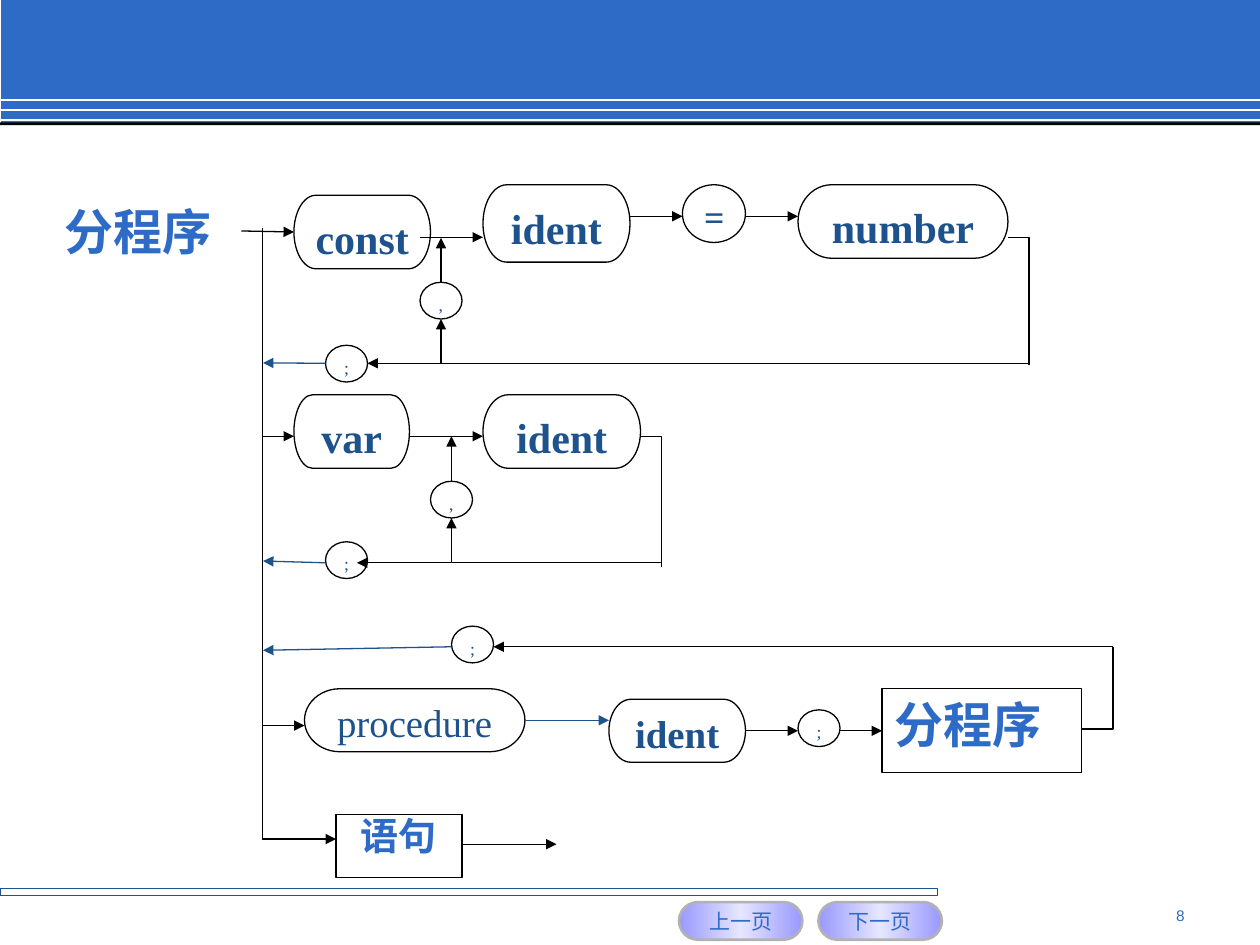
from copy import deepcopy

from pptx import Presentation
from pptx.dml.color import RGBColor
from pptx.enum.shapes import MSO_CONNECTOR, MSO_SHAPE
from pptx.enum.text import MSO_ANCHOR, PP_ALIGN
from pptx.oxml.ns import qn
from pptx.oxml.xmlchemy import OxmlElement
from pptx.util import Pt

TOP, LEFT, BOTTOM, RIGHT = range(4)
BLACK, WHITE, NAVY, BLUE = "000000", "FFFFFF", "1D528D", "2D6BC7"
SERIF, SANS, CHINESE = "Times New Roman", "Arial", "Noto Sans CJK SC"


def color(value):
    return RGBColor.from_string(value)


class Diagram:
    line_width = 0.75

    def __init__(self, page):
        self.page = page

    def set_text(self, box, text, size, ink=NAVY, bold=False, font=SERIF,
                 align=PP_ALIGN.CENTER, spacing=None, anchor=MSO_ANCHOR.TOP, wrap=True):
        frame = box.text_frame
        frame.text = text
        frame.word_wrap = wrap
        frame.vertical_anchor = anchor
        para = frame.paragraphs[0]
        para.alignment = align
        if spacing:
            para.line_spacing = spacing
        span = para.runs[0]
        span.font.name = font
        span.font.size = Pt(size)
        span.font.bold = bold
        span.font.color.rgb = color(ink)
        east_asian = OxmlElement("a:ea")
        east_asian.set("typeface", CHINESE)
        span.font._element.append(east_asian)

    def label(self, left, top, width, height, text, size, **style):
        box = self.page.shapes.add_textbox(Pt(left), Pt(top), Pt(width), Pt(height))
        self.set_text(box, text, size, **style)

    def shape(self, kind, left, top, width, height, fill=None, line=None, weight=None):
        box = self.page.shapes.add_shape(kind, Pt(left), Pt(top), Pt(width), Pt(height))
        self.paint(box, fill, line, weight)
        return box

    def paint(self, box, fill, line, weight=None):
        box.shadow.inherit = False
        if fill:
            box.fill.solid()
            box.fill.fore_color.rgb = color(fill)
        else:
            box.fill.background()
        if line:
            box.line.color.rgb = color(line)
            box.line.width = Pt(weight or self.line_width)
        else:
            box.line.fill.background()

    def terminal(self, left, top, width, height, text, size=24, bold=True, spacing=None):
        box = self.shape(MSO_SHAPE.FLOWCHART_TERMINATOR, left, top, width, height, WHITE, BLACK)
        self.set_text(box, text, size, bold=bold, spacing=spacing)
        return box

    def symbol(self, left, top, text, width=24, height=21, size=10, **style):
        box = self.shape(MSO_SHAPE.FLOWCHART_CONNECTOR, left, top, width, height, WHITE, BLACK)
        self.set_text(box, text, size, align=PP_ALIGN.JUSTIFY, **style)

    def process(self, left, top, width, height, text, size, **style):
        box = self.shape(MSO_SHAPE.FLOWCHART_PROCESS, left, top, width, height, WHITE, BLACK)
        self.set_text(box, text, size, ink=BLUE, bold=True, **style)
        return box

    def button(self, left, text):
        box = self.shape(MSO_SHAPE.ROUNDED_RECTANGLE, left, 515.5, 70.5, 21.5,
                         line="B2B2B2", weight=1.5)
        box.adjustments[0] = 0.5
        box.fill.gradient()
        box.fill.gradient_angle = 0
        stop_list = box._element.spPr.find(".//" + qn("a:gsLst"))
        stop_list.append(deepcopy(stop_list[0]))
        shades = [(0, "9999FF"), (0.5, "E6E6FF"), (1, "9999FF")]
        for stop, (position, shade) in zip(box.fill.gradient_stops, shades):
            stop.position = position
            stop.color.rgb = color(shade)
        self.set_text(box, text, 12, ink=BLUE, font=SANS, anchor=MSO_ANCHOR.MIDDLE, wrap=False)

    def line(self, x1, y1, x2, y2, ink=BLACK, weight=None):
        connector = self.page.shapes.add_connector(
            MSO_CONNECTOR.STRAIGHT, Pt(x1), Pt(y1), Pt(x2), Pt(y2))
        connector.line.color.rgb = color(ink)
        connector.line.width = Pt(weight or self.line_width)
        connector._element.spPr.append(OxmlElement("a:effectLst"))
        return connector

    def arrow(self, x1, y1, x2, y2, ink=BLACK, begin=None, end=None):
        connector = self.line(x1, y1, x2, y2, ink)
        head = OxmlElement("a:tailEnd")
        head.set("type", "triangle")
        connector.line._get_or_add_ln().append(head)
        if begin:
            connector.begin_connect(*begin)
        if end:
            connector.end_connect(*end)

    def bend(self, start, *corners):
        points = [(Pt(x), Pt(y)) for x, y in corners]
        builder = self.page.shapes.build_freeform(Pt(start[0]), Pt(start[1]))
        builder.add_line_segments(points, close=False)
        self.paint(builder.convert_to_shape(), None, BLACK)


def draw_frame(diagram):
    diagram.shape(MSO_SHAPE.RECTANGLE, 0.7, 0, 719.3, 71.3, BLUE)
    for y in (57.3, 62.8, 68.4):
        diagram.line(0, y, 720, y, WHITE, 1)
    diagram.shape(MSO_SHAPE.RECTANGLE, 0, 70, 720, 1.5, BLACK)
    diagram.shape(MSO_SHAPE.RECTANGLE, 0, 507.6, 535.7, 4.3, line=NAVY)
    diagram.button(388, "上一页")
    diagram.button(467.7, "下一页")
    diagram.label(516, 514, 168, 19.5, "8", 8.8, ink=BLUE, font=SANS, align=PP_ALIGN.RIGHT)


def draw_nodes(diagram):
    diagram.label(30, 111.6, 102, 41, "分程序", 28, ink=BLUE, bold=True,
                  font=CHINESE, align=PP_ALIGN.LEFT)
    const = diagram.terminal(168, 111.6, 78, 42, "const")
    diagram.terminal(276, 105.6, 84, 44.2, "ident")
    diagram.terminal(456, 105.6, 120, 42, "number")
    diagram.symbol(390, 105.6, "=", 36, 33, 20.4, bold=True, spacing=0.9)
    diagram.terminal(168, 225.6, 66, 42, "var")
    diagram.terminal(276, 225.6, 90, 42, "ident")
    procedure = diagram.terminal(174, 393.6, 126, 36, "procedure", 22.2, False, 0.9)
    name = diagram.terminal(348, 399.6, 78, 36, "ident", 22.2, True, 0.9)
    for left, top, text in [(240, 161.3, ","), (186, 197.3, ";"), (246, 275, ","),
                            (186, 309.6, ";"), (258, 357.8, ";"), (456, 405.6, ";")]:
        diagram.symbol(left, top, text)
    block = diagram.process(504, 393.6, 114, 48, "分程序", 28, align=PP_ALIGN.JUSTIFY)
    diagram.process(192, 465.6, 72, 36, "语句", 21.7, spacing=0.8)
    return const, procedure, name, block


def draw_flow(diagram, const, procedure, name, block):
    diagram.line(150, 130.5, 150, 479)
    diagram.bend((576, 135.6), (588, 135.6), (588, 208.6))
    diagram.bend((366, 249.6), (378, 249.6), (378, 324))
    diagram.bend((618, 416.5), (636, 416.5), (636, 369.6))

    diagram.arrow(138, 132, 168, 132, end=(const, LEFT))
    diagram.arrow(426, 417.6, 456, 417.6, begin=(name, RIGHT))
    diagram.arrow(480, 417.6, 504, 417.6, end=(block, LEFT))
    diagram.arrow(300, 411.6, 348, 411.6, NAVY, begin=(procedure, RIGHT))

    for x1, x2, y in [(240, 276, 135.6), (360, 390, 123.6), (426, 456, 123.6),
                      (588, 210, 207.6), (150, 168, 249.3), (234, 276, 249.3),
                      (378, 204, 321.6), (150, 174, 414.6), (636, 282, 369.6),
                      (150, 192, 479.5), (264, 318, 482.4)]:
        diagram.arrow(x1, y, x2, y)
    for x, y1, y2 in [(252, 207.8, 182.3), (252, 161.5, 136),
                      (258, 321.6, 296), (258, 275, 249.3)]:
        diagram.arrow(x, y1, x, y2)
    for x, y1, y2 in [(186, 207.6, 207.4), (186, 321.6, 320.6), (258, 369.6, 371.6)]:
        diagram.arrow(x, y1, 150.3, y2, NAVY)


def main():
    deck = Presentation()
    deck.slide_width, deck.slide_height = Pt(720), Pt(540)
    diagram = Diagram(deck.slides.add_slide(deck.slide_layouts[6]))
    draw_frame(diagram)
    draw_flow(diagram, *draw_nodes(diagram))
    deck.save("out.pptx")


if __name__ == "__main__":
    main()
